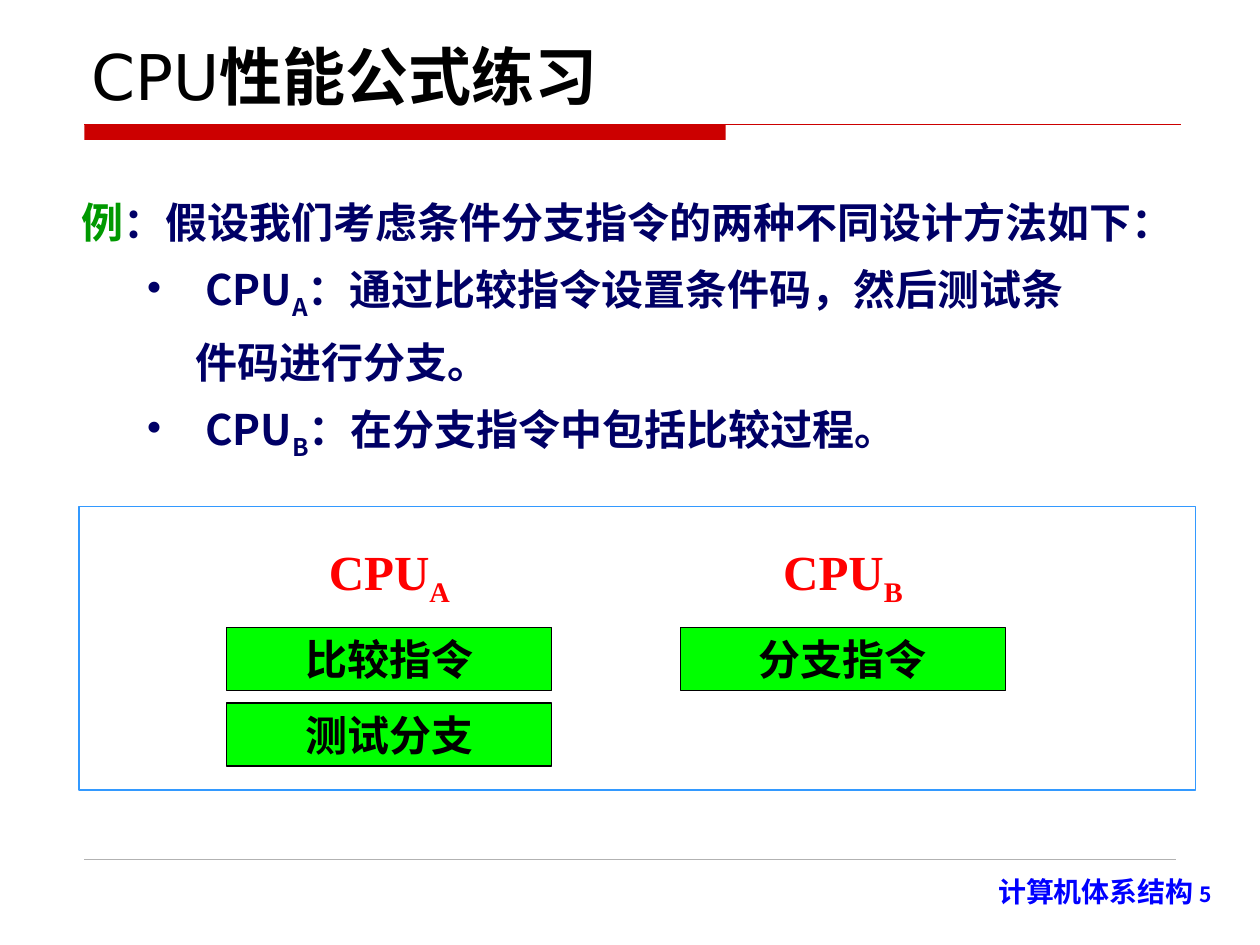
from dataclasses import dataclass

from lxml.etree import SubElement
from pptx import Presentation
from pptx.dml.color import RGBColor
from pptx.enum.shapes import MSO_CONNECTOR as CONN, MSO_SHAPE as SHAPE
from pptx.enum.text import MSO_ANCHOR as ANCHOR, PP_ALIGN as ALIGN
from pptx.oxml.ns import qn
from pptx.util import Emu, Pt

PX = 9144  # 100 px to the inch


@dataclass(frozen=True)
class Theme:
    red: str = "CC0000"
    rule: str = "B2B2B2"
    black: str = "000000"
    navy: str = "000066"
    green: str = "009900"
    label: str = "FF0000"
    box: str = "00FF00"
    frame: str = "3399FF"
    footer: str = "0000FF"
    cjk: str = "Noto Sans CJK SC"
    sans: str = "DejaVu Sans"
    serif: str = "Times New Roman"
    title_size: int = 36
    label_size: int = 28
    body_size: int = 24
    footer_size: int = 16
    number_size: int = 12


T = Theme()


def px(n):
    return Emu(n * PX)


def rgb(color):
    return RGBColor.from_string(color)


def add_run(p, text, *, size=T.body_size, color=T.black, font=T.cjk, bold=True, sub=False):
    r = p.add_run()
    r.text = text
    r.font.size, r.font.bold, r.font.name = Pt(size), bold, font
    r.font.color.rgb = rgb(color)
    rPr = r._r.get_or_add_rPr()
    SubElement(rPr, qn("a:ea")).set("typeface", T.cjk)
    if sub:
        rPr.set("baseline", "-25000")


def set_indent(p, left, hang=0, bullet=None):
    pPr = p._p.get_or_add_pPr()
    pPr.set("marL", str(px(left)))
    pPr.set("indent", str(px(-hang)))
    if bullet:
        SubElement(pPr, qn("a:buChar")).set("char", bullet)


def add_text(s, box, runs, *, align=ALIGN.LEFT, anchor=ANCHOR.TOP):
    """Add a wrapping text box whose first paragraph holds (text, format) runs."""
    tf = s.shapes.add_textbox(*map(px, box)).text_frame
    tf.word_wrap, tf.vertical_anchor = True, anchor
    p = tf.paragraphs[0]
    p.alignment = align
    for text, fmt in runs:
        add_run(p, text, **fmt)
    return tf


def add_rect(s, box, *, fill=None, line=None, width=0.75):
    sp = s.shapes.add_shape(SHAPE.RECTANGLE, *map(px, box))
    sp.shadow.inherit = False
    if fill:
        sp.fill.solid()
        sp.fill.fore_color.rgb = rgb(fill)
    else:
        sp.fill.background()
    if line:
        sp.line.color.rgb = rgb(line)
        sp.line.width = Pt(width)
    else:
        sp.line.fill.background()
    return sp


def add_rule(s, x, y, w, color, width):
    ln = s.shapes.add_connector(CONN.STRAIGHT, px(x), px(y), px(x + w), px(y))
    ln.line.color.rgb = rgb(color)
    ln.line.width = Pt(width)
    SubElement(ln._element.spPr, qn("a:effectLst"))


def add_header(s, x, y, w, h):
    bar_x, bar_y = x + 4, y + h + 4
    add_rect(s, (bar_x, bar_y, 509, 12), fill=T.red)
    add_rule(s, bar_x, bar_y, 870, T.red, 0.75)
    add_text(s, (x, y, w, h), [
        ("CPU", dict(size=T.title_size, font=T.sans, bold=False)),
        ("性能公式练习", dict(size=T.title_size, font=T.sans)),
    ], anchor=ANCHOR.BOTTOM)


def add_example(s, box):
    navy = dict(color=T.navy)
    tf = add_text(s, box, [
        ("例", dict(color=T.green)),
        ("：假设我们考虑条件分支指令的两种不同设计方法如下：", navy),
    ])
    for letter, first, rest in [
        ("A", "：通过比较指令设置条件码，然后测试条", "件码进行分支。"),
        ("B", "：在分支指令中包括比较过程。", None),
    ]:
        p = tf.add_paragraph()
        set_indent(p, 98, 46, "•")
        add_run(p, "CPU", **navy)
        add_run(p, letter, sub=True, **navy)
        add_run(p, first, **navy)
        if rest:
            p = tf.add_paragraph()
            set_indent(p, 90)
            add_run(p, rest, **navy)
    for p in tf.paragraphs:
        p.alignment, p.line_spacing = ALIGN.JUSTIFY, 1.3


def add_comparison(s, x, y, w, h):
    """Frame with one column of instruction boxes for each CPU."""
    add_rect(s, (x, y, w, h), line=T.frame, width=1)
    label = dict(size=T.label_size, color=T.label, font=T.serif)
    columns = [("A", ["比较指令", "测试分支"]), ("B", ["分支指令"])]
    for col, (letter, steps) in enumerate(columns):
        left = x + 117 + col * 360
        add_text(s, (left, y + 23, 258, 63),
                 [("CPU", label), (letter, dict(label, sub=True))],
                 align=ALIGN.CENTER, anchor=ANCHOR.MIDDLE)
        for row, step in enumerate(steps):
            sp = add_rect(s, (left, y + 96 + row * 60, 258, 50), fill=T.box, line=T.black)
            tf = sp.text_frame
            tf.vertical_anchor = ANCHOR.MIDDLE
            tf.paragraphs[0].alignment = ALIGN.CENTER
            add_run(tf.paragraphs[0], step, font=T.serif)


def add_footer(s, x, y, w, h):
    add_rule(s, x, y, w, T.rule, 0.25)
    add_text(s, (x + 660, y + 7, 245, h), [
        ("计算机体系结构 ", dict(size=T.footer_size, color=T.footer)),
        ("5", dict(size=T.number_size, color=T.footer)),
    ], align=ALIGN.RIGHT)


def main():
    prs = Presentation()
    prs.slide_width, prs.slide_height = px(1000), px(750)
    s = prs.slides.add_slide(prs.slide_layouts[6])
    add_header(s, 63, 21, 839, 74)
    add_example(s, (55, 139, 894, 232))
    add_comparison(s, 63, 402, 886, 225)
    add_footer(s, 67, 682, 866, 43)
    prs.save("out.pptx")


if __name__ == "__main__":
    main()
